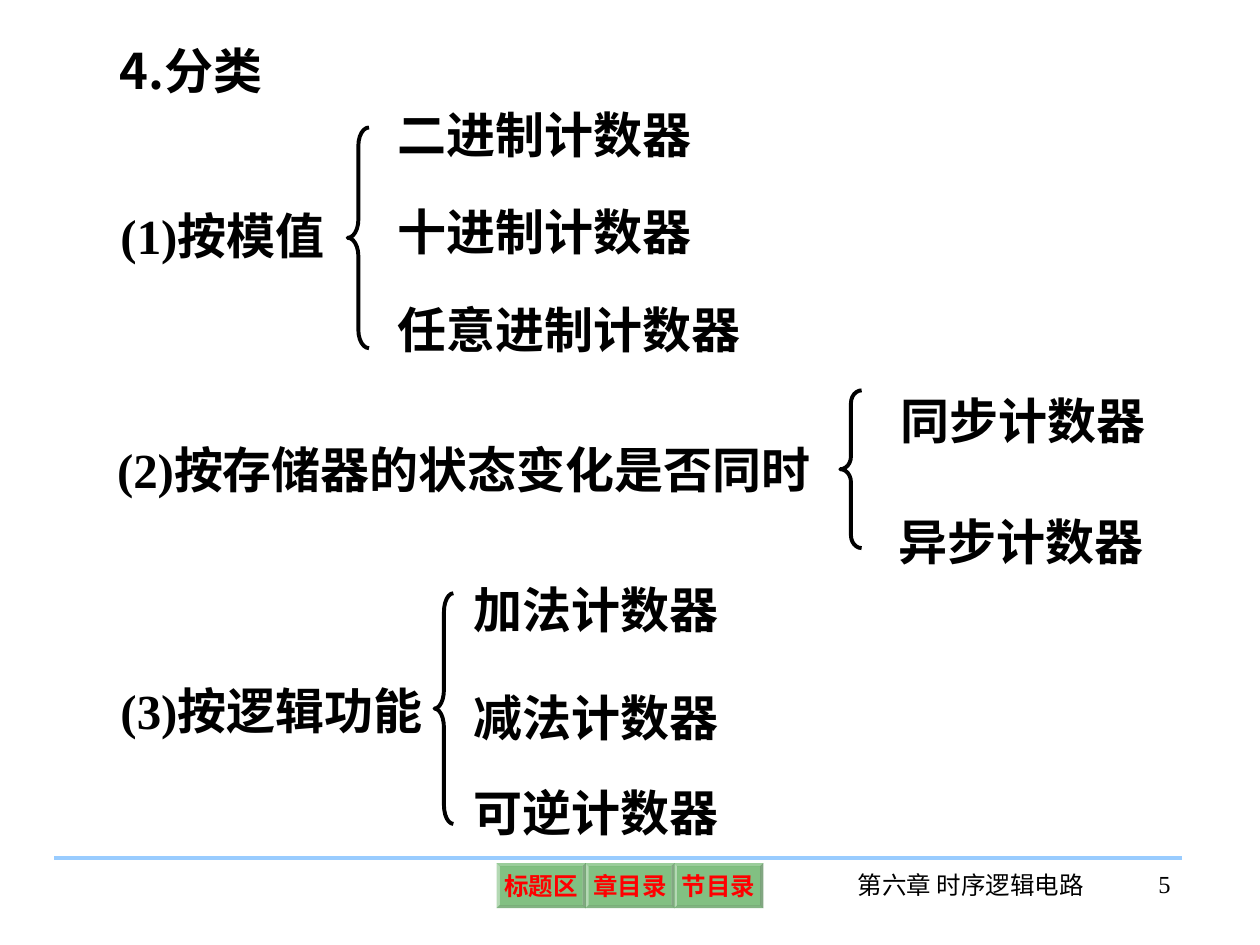
from pptx import Presentation
from pptx.dml.color import RGBColor
from pptx.enum.shapes import MSO_CONNECTOR, MSO_SHAPE
from pptx.enum.text import MSO_ANCHOR, MSO_AUTO_SIZE, PP_ALIGN
from pptx.oxml.ns import qn
from pptx.util import Cm, Pt
from lxml.etree import SubElement

BLACK = RGBColor(0x00, 0x00, 0x00)
RED = RGBColor(0xFF, 0x00, 0x00)
GREEN = RGBColor(0x00, 0x80, 0x00)
SKY = RGBColor(0x99, 0xCC, 0xFF)
SANS = "Noto Sans CJK SC"
SERIF = "Times New Roman"
ROW_H = 1.45

GROUPS = [
    (("(1)按模值", 2.18, 4.01, 5.08, 1.0), (7.01, 2.57, 0.43, 4.45, 0.85),
     [("二进制计数器", 7.77, 1.98, 6.65), ("十进制计数器", 7.77, 3.94, 6.65),
      ("任意进制计数器", 7.77, 5.92, 9.19)]),
    (("(2)按存储器的状态变化是否同时", 2.11, 8.38, 15.65, 1.3),
     (16.94, 7.87, 0.43, 3.18, 0.6),
     [("同步计数器", 17.91, 7.75, 6.65), ("异步计数器", 17.86, 10.19, 6.65)]),
    (("(3)按逻辑功能", 2.18, 13.59, 7.21, 1.0), (8.76, 11.96, 0.38, 4.65, 1.0),
     [("加法计数器", 9.3, 11.56, 6.65), ("减法计数器", 9.3, 13.74, 6.65),
      ("可逆计数器", 9.3, 15.65, 6.65)]),
]


def write(tf, text, size=28, font=SANS, color=BLACK, bold=True,
          align=PP_ALIGN.LEFT, spacing=1.0):
    p = tf.paragraphs[0]
    p.alignment = align
    p.line_spacing = spacing
    r = p.add_run()
    r.text = text
    r.font.size = Pt(size)
    r.font.name = font
    r.font.bold = bold
    r.font.color.rgb = color
    SubElement(r.font._element, qn("a:ea")).set("typeface", SANS)


def add_text(s, text, x, y, w, h=ROW_H, **style):
    sp = s.shapes.add_textbox(Cm(x), Cm(y), Cm(w), Cm(h))
    sp.text_frame.word_wrap = True
    write(sp.text_frame, text, **style)


def add_title(s, text):
    sp = s.shapes.title
    sp.left, sp.top, sp.width, sp.height = Cm(2.16), Cm(0.69), Cm(3.84), Cm(ROW_H)
    tf = sp.text_frame
    tf.auto_size = MSO_AUTO_SIZE.NONE
    tf.vertical_anchor = MSO_ANCHOR.TOP
    write(tf, text)


def add_brace(s, x, y, w, h, curve):
    sp = s.shapes.add_shape(MSO_SHAPE.LEFT_BRACE, Cm(x), Cm(y), Cm(w), Cm(h))
    sp.adjustments[0] = curve
    sp.shadow.inherit = False
    sp.fill.background()
    sp.line.color.rgb = BLACK
    sp.line.width = Pt(2.25)


def add_button(s, text, x):
    sp = s.shapes.add_shape(MSO_SHAPE.BEVEL, Cm(x), Cm(17.4), Cm(1.8), Cm(0.91))
    sp.adjustments[0] = 0.07
    sp.shadow.inherit = False
    sp.line.fill.background()
    sp.fill.solid()
    sp.fill.fore_color.rgb = GREEN
    clr = sp._element.spPr.find(qn("a:solidFill")).find(qn("a:srgbClr"))
    SubElement(clr, qn("a:alpha")).set("val", "49000")
    tf = sp.text_frame
    tf.word_wrap = False
    tf.vertical_anchor = MSO_ANCHOR.MIDDLE
    tf.margin_left = tf.margin_right = tf.margin_top = tf.margin_bottom = Cm(0.1)
    write(tf, text, size=14, font=SERIF, color=RED, align=PP_ALIGN.CENTER)


def add_rule(s, x1, x2, y):
    c = s.shapes.add_connector(MSO_CONNECTOR.STRAIGHT, Cm(x1), Cm(y), Cm(x2), Cm(y))
    c.line.color.rgb = SKY
    c.line.width = Pt(2.25)
    SubElement(c._element.spPr, qn("a:effectLst"))


def add_footer(s):
    add_rule(s, 1.09, 23.83, 17.3)
    for i, text in enumerate(["标题区", "章目录", "节目录"]):
        add_button(s, text, 10.01 + 1.79 * i)
    small = dict(h=1.27, size=14, font=SERIF, bold=False)
    add_text(s, "第六章 时序逻辑电路", 16.92, 17.42, 5.31, align=PP_ALIGN.CENTER, **small)
    add_text(s, "5", 21.67, 17.4, 2.18, align=PP_ALIGN.RIGHT, **small)


def main():
    prs = Presentation()
    prs.slide_width, prs.slide_height = Cm(25.4), Cm(19.05)
    s = prs.slides.add_slide(prs.slide_layouts[5])
    add_title(s, "4.分类")
    for (label, x, y, w, spacing), brace, items in GROUPS:
        add_text(s, label, x, y, w, h=ROW_H * spacing, font=SERIF, spacing=spacing)
        add_brace(s, *brace)
        for item in items:
            add_text(s, *item)
    add_footer(s)
    prs.save("out.pptx")


if __name__ == "__main__":
    main()
